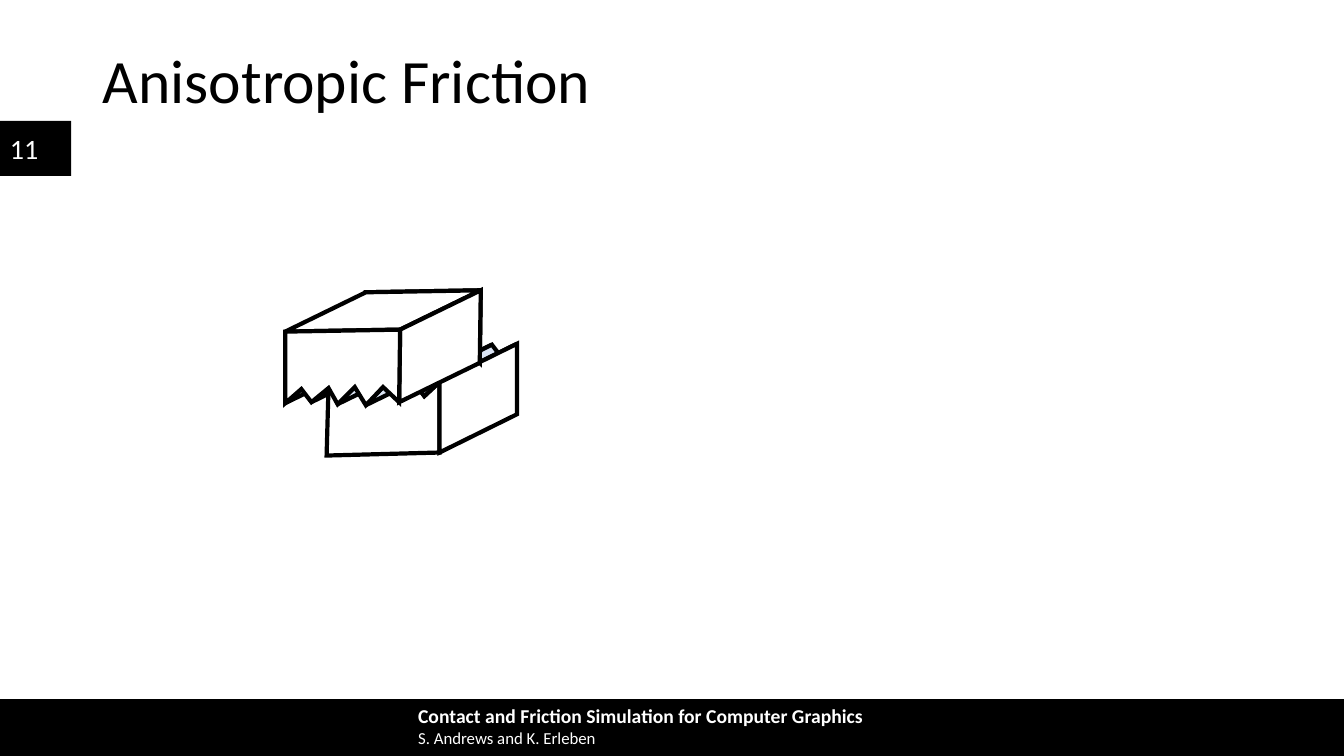
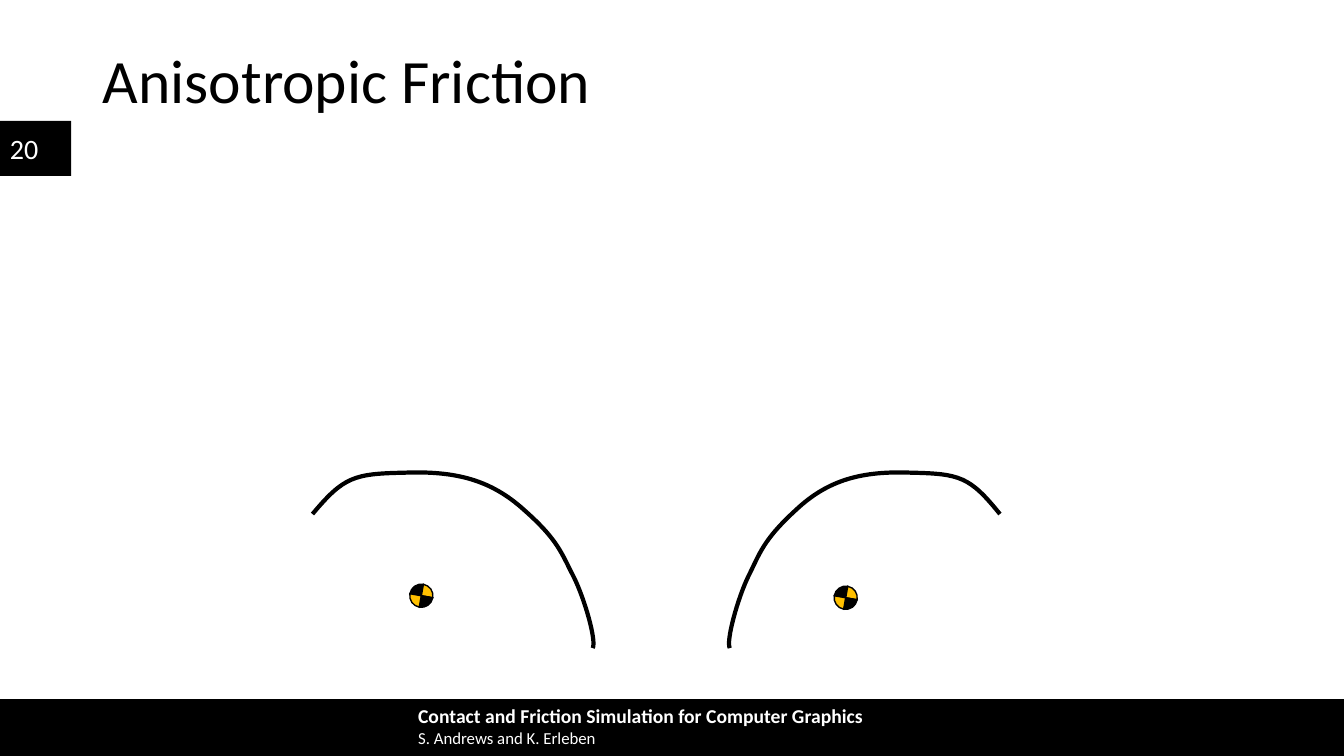
from dataclasses import dataclass
from math import cos, radians, sin

from lxml.etree import SubElement
from pptx import Presentation
from pptx.dml.color import RGBColor
from pptx.enum.shapes import MSO_SHAPE as Kind
from pptx.enum.text import MSO_ANCHOR as Anchor, MSO_AUTO_SIZE as Fit, PP_ALIGN as Align
from pptx.oxml.ns import qn
from pptx.util import Inches, Pt

# Grid: one cell is a hundredth of an inch, on a 16:9 slide
CELL = Inches(0.01)
ROWS = 750
COLS = ROWS * 16 / 9
BLACK, WHITE, GOLD = "000000", "FFFFFF", "FFC000"
PALE, BLUE, RED = "DAE3F3", "5B9BD5", "C00000"
FONT = "Calibri"
Point = tuple[float, float]


@dataclass(frozen=True)
class Pen:
    fill: str | None = WHITE
    line: str = BLACK
    width: float = 3


@dataclass(frozen=True)
class Block:
    front: list[Point]
    teeth: list[Point]
    span: int          # teeth points in one facet
    shift: Point       # from front face to back face

    def back(self, points: list[Point]) -> list[Point]:
        return [(x + self.shift[0], y + self.shift[1]) for x, y in points]

    def sweep(self, edge: list[Point]) -> list[Point]:
        return edge + self.back(edge)[::-1]

    def facets(self) -> list[list[Point]]:
        starts = range(0, len(self.teeth) - self.span + 1, 2)
        return [self.sweep(self.teeth[i:i + self.span]) for i in starts][::-1]


# Shared helpers
def tint(code: str) -> RGBColor:
    return RGBColor.from_string(code)


def box(cells: tuple) -> list[int]:
    return [round(n * CELL) for n in cells]


def style(font, **values) -> None:
    look = {"name": FONT, "bold": False} | values
    font.color.rgb = tint(look.pop("color"))
    for name, value in look.items():
        setattr(font, name, value)


def bar(slide, cells: tuple) -> None:
    shape = slide.shapes.add_shape(Kind.RECTANGLE, *box(cells))
    shape.shadow.inherit = False
    shape.fill.solid()
    shape.fill.fore_color.rgb = tint(BLACK)
    shape.line.fill.background()


def label(slide, cells: tuple, runs: list[tuple], anchor=Anchor.TOP) -> None:
    frame = slide.shapes.add_textbox(*box(cells)).text_frame
    frame.word_wrap, frame.vertical_anchor = True, anchor
    para = frame.paragraphs[0]
    for i, (text, size, bold) in enumerate(runs):
        if i:
            para.add_line_break()
        run = para.add_run()
        run.text = text
        style(run.font, size=Pt(size), bold=bold, color=WHITE)


def bend(shape, count: int) -> None:
    """Turn the first straight segments, three by three, into Bezier curves."""
    lines = list(shape._element.iter(qn("a:lnTo")))
    for i in range(0, 3 * count, 3):
        arc = lines[i].makeelement(qn("a:cubicBezTo"))
        lines[i].addprevious(arc)
        for line in lines[i:i + 3]:
            arc.append(line[0])
            line.getparent().remove(line)


def trace(shapes, points: list[Point], pen: Pen, close: bool = True, bends: int = 0):
    dots = [(x * CELL, y * CELL) for x, y in points]
    path = shapes.build_freeform(*dots[0], scale=1.0)
    path.add_line_segments(dots[1:], close=close)
    shape = path.convert_to_shape()
    bend(shape, bends)
    shape.shadow.inherit = False
    if pen.fill:
        shape.fill.solid()
        shape.fill.fore_color.rgb = tint(pen.fill)
    else:
        shape.fill.background()
    shape.line.color.rgb = tint(pen.line)
    shape.line.width = Pt(pen.width)
    edge = shape.line._get_or_add_ln()
    SubElement(edge, qn("a:miter")).set("lim", "800000")
    return shape


def base(deck, number: str):
    """Add a slide with its title, number tab and footer band."""
    slide = deck.slides.add_slide(deck.slide_layouts[5])
    bar(slide, (0, 120, 70.5, 54.5))
    label(slide, (0, 127, 54, 40), [(number, 20, False)], Anchor.MIDDLE)
    bar(slide, (0, 693.5, COLS, ROWS - 693.5))
    label(slide, (405, 693.5, 837, 54),
          [("Contact and Friction Simulation for Computer Graphics", 14, True),
           ("S. Andrews and K. Erleben", 12, False)])
    title = slide.shapes.title
    title.left, title.top, title.width, title.height = box((92, 40, 1150, 86))
    frame = title.text_frame
    frame.text = "Anisotropic Friction"
    frame.auto_size, frame.vertical_anchor = Fit.NONE, Anchor.MIDDLE
    para = frame.paragraphs[0]
    para.alignment, para.line_spacing = Align.LEFT, 0.9
    style(para.runs[0].font, size=Pt(44), color=BLACK)
    return slide


# Slide with two toothed blocks
LOWER = Block([(324, 452), (436, 449)],
              [(436, 379), (421, 393), (411, 380), (394, 394), (385, 379),
               (369, 395), (357, 378), (341, 396), (326, 381)], 3, (77, -38))
UPPER = Block([(397, 327), (283, 329)],
              [(283, 400), (299, 386), (309, 399), (326, 385), (335, 401),
               (352, 384), (363, 402), (380, 384)], 2, (80, -39))
CORNER = (396, 399)


def blocks(deck) -> None:
    slide = base(deck, "11")
    low = slide.shapes.add_group_shape().shapes
    face = LOWER.front + LOWER.teeth
    trace(low, LOWER.back(face), Pen(BLUE, RED, 1))
    trace(low, face, Pen())
    for facet in LOWER.facets():
        trace(low, facet, Pen(PALE))
    trace(low, LOWER.sweep([LOWER.teeth[0], LOWER.front[1]]), Pen())

    top = slide.shapes.add_group_shape().shapes
    face = UPPER.front + UPPER.teeth + [CORNER]
    for facet in UPPER.facets():
        trace(top, facet, Pen(PALE))
    for part in (UPPER.back(face), UPPER.sweep(UPPER.front),
                 UPPER.sweep([CORNER, UPPER.front[0]]), face):
        trace(top, part, Pen())


# Slide with two arcs and their mass centres
ARC = [(310, 510), (341, 473), (351, 470), (401, 469), (452, 467), (487, 476),
       (520, 506), (554, 536), (557, 549), (569, 572), (580, 594), (592, 636),
       (588, 643)]
LEFT, RIGHT = 724, 992   # ends of the mirrored arc
TILT, RADIUS, KAPPA = 10.1, 11.5, 0.55


def disc(slide, mid: Point) -> None:
    group = slide.shapes.add_group_shape().shapes
    half, near = RADIUS / 2, RADIUS * (1 - KAPPA)
    for i in range(4):
        turn = TILT + 90 * i
        c, s = cos(radians(turn)), sin(radians(turn))
        x, y = mid[0] - half * (c - s) - half, mid[1] - half * (c + s) - half
        wedge = [(x + RADIUS, y), (x + near, y), (x, y + near),
                 (x, y + RADIUS), (x + RADIUS, y + RADIUS)]
        pen = Pen((BLACK, GOLD)[i % 2], width=1)
        trace(group, wedge, pen, bends=1).rotation = turn


def arcs(deck) -> None:
    slide = base(deck, "20")
    start, end = ARC[0][0], ARC[-1][0]
    ratio = (RIGHT - LEFT) / (end - start)
    mirror = [(RIGHT - (x - start) * ratio, y) for x, y in ARC]
    for knots, mid in ((ARC, (418, 591)), (mirror, (839, 593))):
        trace(slide.shapes, knots, Pen(None), close=False, bends=len(knots) // 3)
        disc(slide, mid)


def main() -> None:
    deck = Presentation()
    deck.slide_width, deck.slide_height = box((COLS, ROWS))
    blocks(deck)
    arcs(deck)
    deck.save("out.pptx")


if __name__ == "__main__":
    main()
